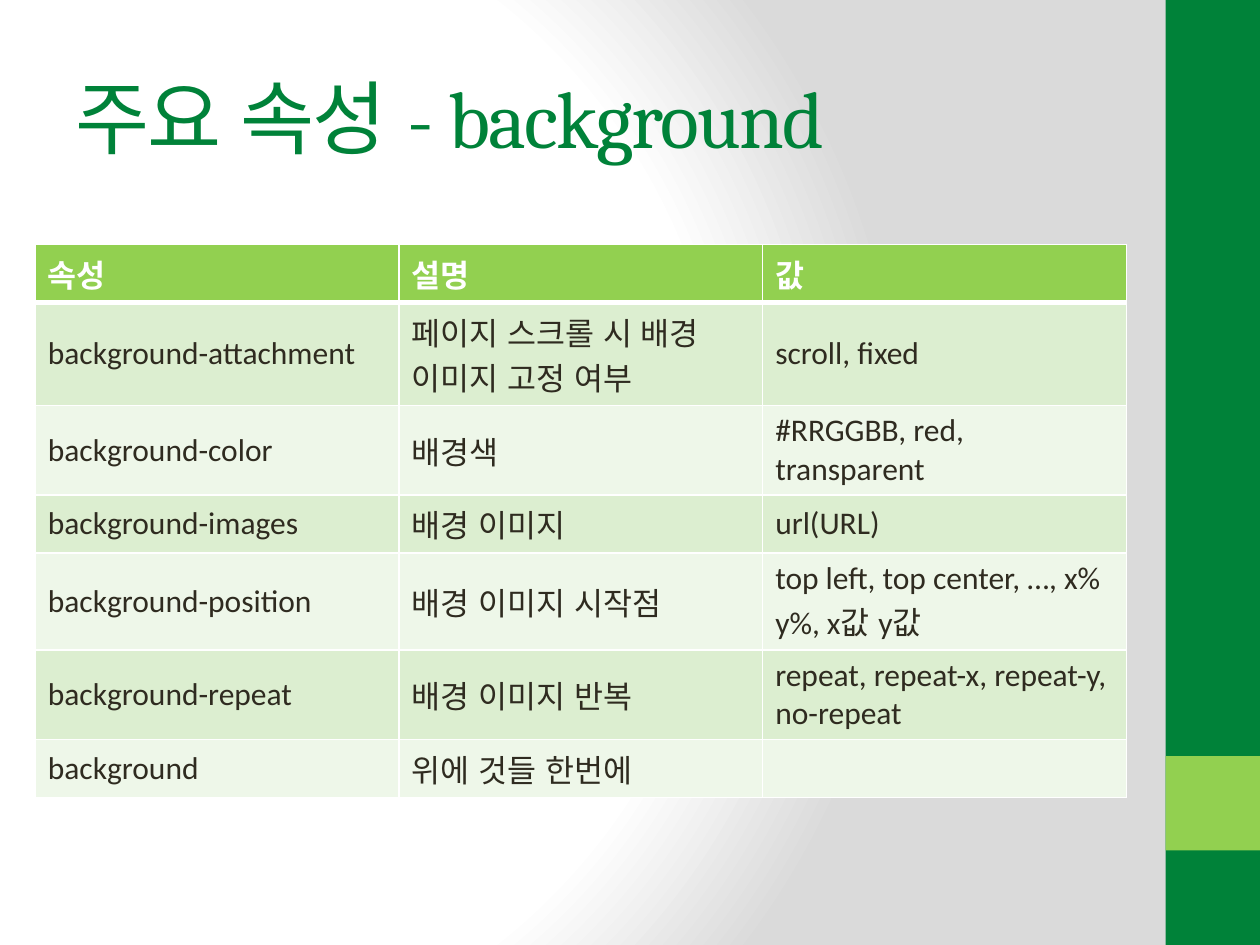
from typing import NamedTuple

from lxml import etree
from pptx import Presentation
from pptx import util as u
from pptx.dml.color import RGBColor
from pptx.enum import lang, shapes, text
from pptx.oxml import ns

GREEN, LIME, WHITE, INK = "008239", "92D050", "FFFFFF", "2F2B20"
BANDS = ("DCEED0", "EEF7E9")


class Band(NamedTuple):
    top: float
    height: float
    color: str


class Property(NamedTuple):
    name: str
    meaning: str
    values: str
    height: float = 0.46


SIDE_BANDS = [Band(0, 7.5, GREEN), Band(6, 0.75, LIME)]
HEADER = Property("속성", "설명", "값")
PROPERTIES = [
    Property("background-attachment", "페이지 스크롤 시 배경 이미지 고정 여부",
             "scroll, fixed", 0.82),
    Property("background-color", "배경색", "#RRGGBB, red, transparent", 0.71),
    Property("background-images", "배경 이미지", "url(URL)"),
    Property("background-position", "배경 이미지 시작점",
             "top left, top center, …, x% y%, x값 y값", 0.77),
    Property("background-repeat", "배경 이미지 반복",
             "repeat, repeat-x, repeat-y, no-repeat", 0.71),
    Property("background", "위에 것들 한번에", ""),
]


def rgb(color: str) -> RGBColor:
    return RGBColor.from_string(color)


def add_xml(parent, tag: str, **attrs):
    return etree.SubElement(parent, ns.qn(tag), attrs)


def add_color(parent, color: str) -> None:
    add_xml(parent, "a:srgbClr", val=color)


def write(tf, content: str, *, size: float, font: str, color: str,
          bold: bool = False, spacing: int = 0) -> None:
    p = tf.paragraphs[0]
    if not content:
        p.font.size = u.Pt(size)
        return
    r = p.add_run()
    r.text = content
    r.font.size, r.font.name, r.font.bold = u.Pt(size), font, bold
    r.font.language_id = lang.MSO_LANGUAGE_ID.KOREAN
    r.font.color.rgb = rgb(color)
    if spacing:
        r.font._element.set("spc", str(spacing))


def paint_background(s) -> None:
    fill = s.background.fill
    fill.gradient()
    grad = s._element.find(".//" + ns.qn("a:gradFill"))
    for child in list(grad):
        grad.remove(child)
    stops = add_xml(grad, "a:gsLst")
    for pos, color in ((0, WHITE), (75, WHITE), (100, "DADADA")):
        add_color(add_xml(stops, "a:gs", pos=str(pos * 1000)), color)
    circle = add_xml(grad, "a:path", path="circle")
    add_xml(circle, "a:fillToRect", l="20000", t="50000", r="100000", b="50000")


def add_band(s, band: Band) -> None:
    sp = s.shapes.add_shape(shapes.MSO_SHAPE.RECTANGLE, u.Inches(9.25), u.Inches(band.top),
                            u.Inches(0.75), u.Inches(band.height))
    sp.shadow.inherit = False
    sp.fill.solid()
    sp.fill.fore_color.rgb = rgb(band.color)
    sp.line.fill.background()


def add_title(s, content: str) -> None:
    sp = s.shapes.add_textbox(u.Inches(0.5), u.Inches(0.3), u.Inches(8.33), u.Inches(1.25))
    tf = sp.text_frame
    tf.word_wrap = True
    tf.vertical_anchor = text.MSO_ANCHOR.MIDDLE
    write(tf, content, size=46, font="Cambria", color=GREEN, spacing=-100)


def set_borders(cell, top: int, bottom: int) -> None:
    tc_pr = cell._tc.get_or_add_tcPr()
    for side, width in (("L", 1), ("R", 1), ("T", top), ("B", bottom)):
        ln = add_xml(tc_pr, f"a:ln{side}", w=str(u.Pt(width)))
        add_color(add_xml(ln, "a:solidFill"), WHITE)


def add_property_table(s, rows: list[Property]) -> None:
    columns = 3
    frame = s.shapes.add_table(len(rows), columns, u.Inches(0.28), u.Inches(1.94),
                               u.Inches(8.66), u.Inches(sum(row.height for row in rows)))
    table = frame.table
    for i, row in enumerate(rows):
        table.rows[i].height = u.Inches(row.height)
        is_header = i == 0
        for j, content in enumerate(row[:columns]):
            cell = table.cell(i, j)
            cell.vertical_anchor = text.MSO_ANCHOR.MIDDLE
            set_borders(cell, top=3 if i == 1 else 1, bottom=3 if is_header else 1)
            cell.fill.solid()
            cell.fill.fore_color.rgb = rgb(LIME if is_header else BANDS[(i - 1) % 2])
            write(cell.text_frame, content, size=18, font="Calibri",
                  color=WHITE if is_header else INK, bold=is_header)


def main() -> None:
    prs = Presentation()
    prs.slide_width, prs.slide_height = u.Inches(10), u.Inches(7.5)
    s = prs.slides.add_slide(prs.slide_layouts[6])

    # Background and side bands
    paint_background(s)
    for band in SIDE_BANDS:
        add_band(s, band)

    # Title and table
    add_title(s, "주요 속성 - background")
    add_property_table(s, [HEADER, *PROPERTIES])

    prs.save("out.pptx")


if __name__ == "__main__":
    main()
